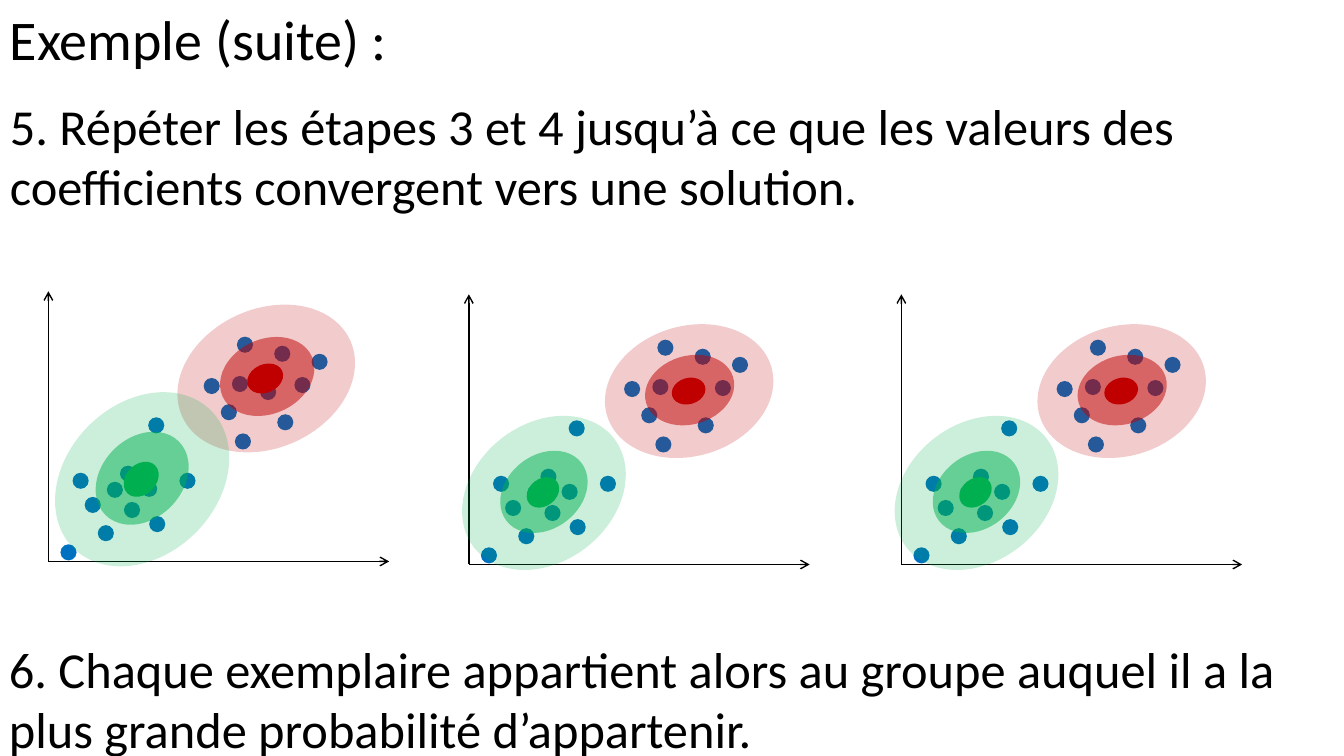
from lxml import etree
from pptx import Presentation
from pptx.dml.color import RGBColor
from pptx.enum.shapes import MSO_CONNECTOR, MSO_SHAPE
from pptx.enum.text import MSO_AUTO_SIZE
from pptx.oxml.ns import qn
from pptx.util import Inches, Pt

OVAL = MSO_SHAPE.OVAL
STRAIGHT = MSO_CONNECTOR.STRAIGHT
GROW = MSO_AUTO_SIZE.SHAPE_TO_FIT_TEXT
BLACK, BLUE, RED, GREEN = "000000", "0070C0", "C00000", "00B050"
PLOT_WIDTH, PLOT_HEIGHT = 3.38, 2.68
SAMPLE_SIZE = 0.16
OPACITIES = (20, 50, 100)

SAMPLES = [
    (0.12, 2.51), (0.36, 2.04), (0.75, 2.09), (0.99, 1.25), (1.30, 1.80),
    (1.85, 1.41), (1.54, 0.86), (2.24, 0.54), (2.10, 0.92), (0.58, 1.89),
    (0.49, 2.32), (0.24, 1.80), (1.00, 2.23), (0.92, 1.88), (0.71, 1.73),
    (1.71, 1.12), (1.82, 0.84), (2.44, 0.85), (2.27, 1.22), (1.87, 0.45),
    (2.61, 0.62),
]
EARLY_CLUSTERS = [
    (RED, 65.7, [(1.47, -0.05, 1.38, 1.83), (1.80, 0.36, 0.74, 0.97), (2.01, 0.68, 0.28, 0.37)]),
    (GREEN, 45, [(0.18, 0.90, 1.50, 1.93), (0.53, 1.34, 0.80, 1.03), (0.77, 1.67, 0.30, 0.39)]),
]
CONVERGED_CLUSTERS = [
    (RED, 73.5, [(1.54, 0.11, 1.29, 1.70), (1.85, 0.50, 0.68, 0.90), (2.05, 0.79, 0.26, 0.34)]),
    (GREEN, 52.1, [(0.06, 1.09, 1.37, 1.76), (0.38, 1.49, 0.73, 0.94), (0.60, 1.79, 0.27, 0.35)]),
]
ITERATIONS = [
    (0.48, 2.89, EARLY_CLUSTERS),
    (4.65, 2.92, CONVERGED_CLUSTERS),
    (8.94, 2.92, CONVERGED_CLUSTERS),
]
STATEMENTS = [
    (0, 0, 0.77, 40, "Exemple (suite) :"),
    (0, 0.89, 1.31, 36, "5. Répéter les étapes 3 et 4 jusqu’à ce que les valeurs des "
                        "coefficients convergent vers une solution."),
    (-0.01, 6.28, 1.31, 36, "6. Chaque exemplaire appartient alors au groupe auquel il a la "
                            "plus grande probabilité d’appartenir."),
]


def color(hex_value):
    return RGBColor.from_string(hex_value)


def add_statement(slide, left, top, height, size, wording):
    statement = slide.shapes.add_textbox(Inches(left), Inches(top), Inches(13.33), Inches(height))
    frame = statement.text_frame
    frame.word_wrap = True
    frame.auto_size = GROW
    run = frame.paragraphs[0].add_run()
    run.text = wording
    run.font.name = "Calibri"
    run.font.size = Pt(size)
    run.font.color.rgb = color(BLACK)


def add_axis(shapes, start, end, arrow_end):
    axis = shapes.add_connector(STRAIGHT, *map(Inches, start + end))
    axis.line.color.rgb = color(BLACK)
    axis.line.width = Pt(1)
    arrow = etree.SubElement(axis.line._get_or_add_ln(), qn(f"a:{arrow_end}"))
    arrow.set("type", "arrow")
    etree.SubElement(axis._element.spPr, qn("a:effectLst"))


def add_ellipse(shapes, left, top, width, height, fill, opacity=100, rotation=0):
    ellipse = shapes.add_shape(OVAL, *map(Inches, (left, top, width, height)))
    ellipse.rotation = rotation
    ellipse.shadow.inherit = False
    ellipse.line.fill.background()
    ellipse.fill.solid()
    ellipse.fill.fore_color.rgb = color(fill)
    if opacity < 100:
        rgb = ellipse._element.spPr.find(f".//{qn('a:srgbClr')}")
        etree.SubElement(rgb, qn("a:alpha")).set("val", str(opacity * 1000))


def add_scatter(slide, left, top):
    shapes = slide.shapes.add_group_shape().shapes
    bottom = top + PLOT_HEIGHT
    add_axis(shapes, (left, top), (left, bottom), "headEnd")
    add_axis(shapes, (left, bottom), (left + PLOT_WIDTH, bottom), "tailEnd")
    for x, y in SAMPLES:
        add_ellipse(shapes, left + x, top + y, SAMPLE_SIZE, SAMPLE_SIZE, BLUE)


def add_cluster(slide, left, top, fill, rotation, contours):
    shapes = slide.shapes.add_group_shape().shapes
    for (x, y, width, height), opacity in zip(contours, OPACITIES):
        add_ellipse(shapes, left + x, top + y, width, height, fill, opacity, rotation)


def add_iteration(slide, left, top, clusters):
    add_scatter(slide, left, top)
    for fill, rotation, contours in clusters:
        add_cluster(slide, left, top, fill, rotation, contours)


def main():
    presentation = Presentation()
    presentation.slide_width = Inches(13.33)
    presentation.slide_height = Inches(7.5)
    slide = presentation.slides.add_slide(presentation.slide_layouts[6])
    *introduction, conclusion = STATEMENTS
    for statement in introduction:
        add_statement(slide, *statement)
    for iteration in ITERATIONS:
        add_iteration(slide, *iteration)
    add_statement(slide, *conclusion)
    presentation.save("out.pptx")


if __name__ == "__main__":
    main()
